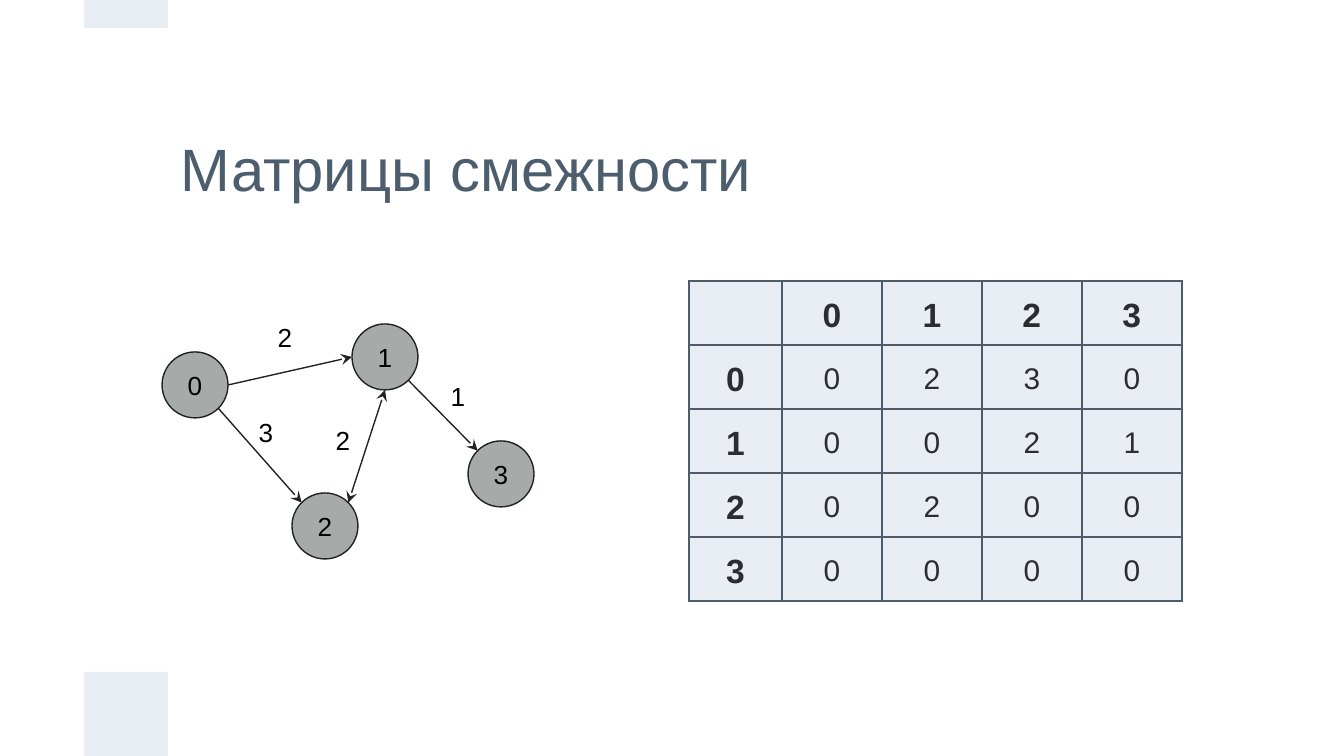
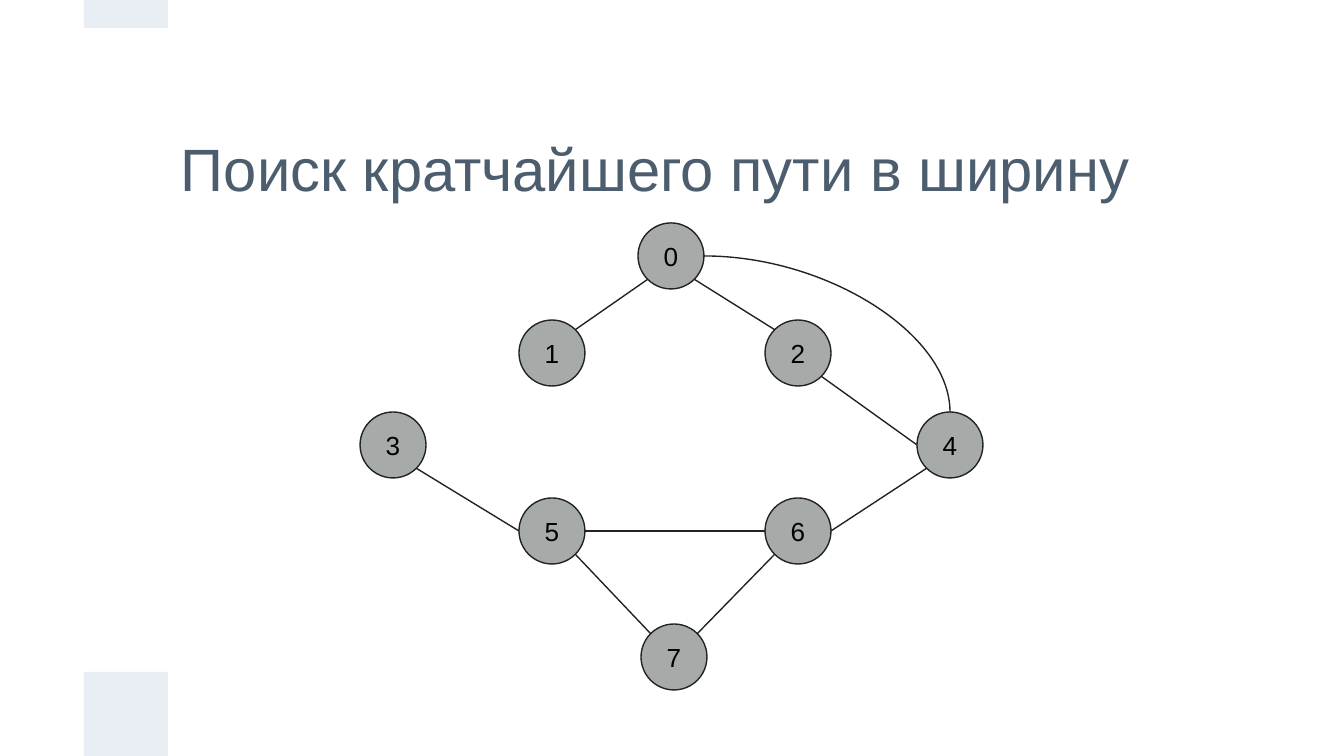
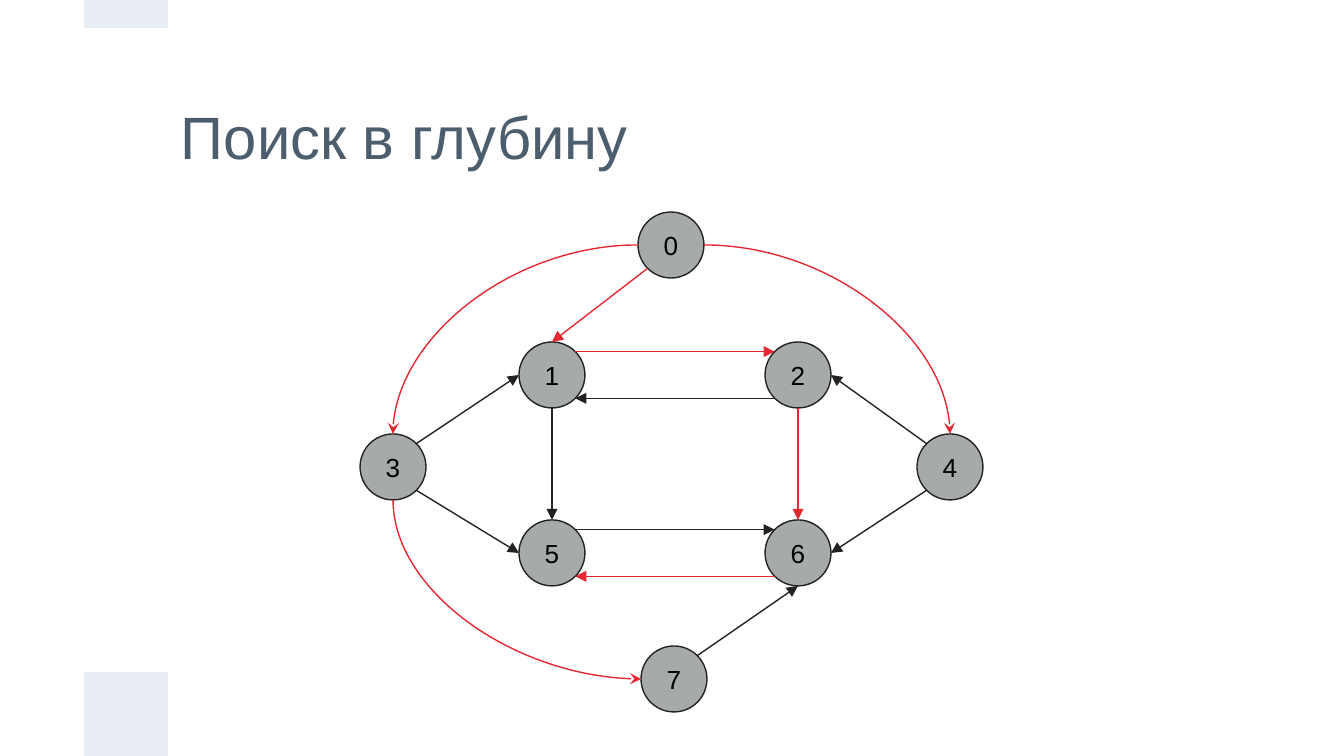
from dataclasses import dataclass
from math import sqrt

from lxml import etree
from pptx import Presentation
from pptx import util as u
from pptx.dml.color import RGBColor
from pptx.enum import shapes, text
from pptx.oxml.ns import qn

SLIDE_W, SLIDE_H = 1344, 756
EMU_PER_PX = u.Inches(10) / SLIDE_W


@dataclass(frozen=True)
class Theme:
    font: str = "Arial"
    title: str = "4C5D6E"
    band: str = "E9EDF4"
    node: str = "A6AAA9"
    edge: str = "222222"
    route: str = "E42832"
    label: str = "000000"
    cell: str = "2C2D30"
    title_size: int = 32
    header_size: int = 18
    cell_size: int = 16
    label_size: int = 14
    line: float = 0.75
    border: float = 1
    inset: int = 13


THEME = Theme()
NODE = 66
LABEL_W, LABEL_H = 70, 67

# Points on a node's rim, as offsets from its centre in radii
DIAG = 1 / sqrt(2)
RIM = {
    "n": (0, -1), "ne": (DIAG, -DIAG), "e": (1, 0), "se": (DIAG, DIAG),
    "s": (0, 1), "sw": (-DIAG, DIAG), "w": (-1, 0), "nw": (-DIAG, -DIAG),
}

# Graph of the weighted example: nodes, edges and weights relative to its box
WEIGHTED_NODES = {"0": (0, 28), "2": (130, 169), "1": (190, 0), "3": (306, 117)}
WEIGHTED_EDGES = [
    ("0", "se", "2", "nw"), ("0", "e", "1", "w"),
    ("1", "se", "3", "nw"), ("1", "s", "2", "ne"),
]
WEIGHTS = [("2", 88, -20), ("3", 69, 75), ("2", 146, 83), ("1", 261, 39)]
ADJACENCY = [[0, 2, 3, 0], [0, 0, 2, 1], [0, 2, 0, 0], [0, 0, 0, 0]]

# Graph shared by both searches
SEARCH_NODES = {
    "0": (278, 0), "2": (405, 97), "1": (159, 97), "4": (557, 189),
    "3": (0, 189), "7": (281, 401), "6": (405, 275), "5": (159, 275),
}
BREADTH_EDGES = [
    ("1", "ne", "0", "sw"), ("0", "se", "2", "nw"), ("2", "se", "4", "w"),
    ("3", "se", "5", "w"), ("5", "se", "7", "nw"), ("7", "ne", "6", "sw"),
    ("5", "e", "6", "w"), ("6", "e", "4", "sw"),
]
DEPTH_ARCS = [("0", "w", "3", "n"), ("0", "e", "4", "n"), ("3", "s", "7", "w")]
DEPTH_EDGES = [
    ("3", "ne", "1", "w"), ("3", "se", "5", "w"), ("1", "s", "5", "n"),
    ("2", "sw", "1", "se"), ("5", "ne", "6", "nw"), ("4", "nw", "2", "e"),
    ("4", "sw", "6", "e"), ("7", "ne", "6", "s"),
]
DEPTH_ROUTE = [
    ("1", "ne", "2", "nw"), ("6", "sw", "5", "se"),
    ("2", "s", "6", "n"), ("0", "sw", "1", "n"),
]


def px(*lengths):
    return [u.Emu(round(length * EMU_PER_PX)) for length in lengths]


def rgb(colour):
    return RGBColor.from_string(colour)


def write(frame, words, size, colour, align=text.PP_ALIGN.CENTER):
    frame.text = words
    frame.word_wrap = True
    frame.vertical_anchor = text.MSO_ANCHOR.MIDDLE
    inset, = px(THEME.inset)
    frame.margin_left = frame.margin_right = inset
    frame.margin_top = frame.margin_bottom = inset
    paragraph = frame.paragraphs[0]
    paragraph.alignment = align
    style(paragraph.runs[0].font, size, colour)


def style(font, size, colour, bold=False):
    font.name = THEME.font
    font.size = u.Pt(size)
    font.color.rgb = rgb(colour)
    font.bold = bold


def add_textbox(slide, box, words, size, colour, align=text.PP_ALIGN.CENTER):
    frame = slide.shapes.add_textbox(*px(*box)).text_frame
    write(frame, words, size, colour, align)


def add_filled(slide, preset, box, fill):
    shape = slide.shapes.add_shape(preset, *px(*box))
    shape.shadow.inherit = False
    shape.fill.solid()
    shape.fill.fore_color.rgb = rgb(fill)
    return shape


# Slide frame: two bands on the left and the title
def start_slide(prs, title, title_height=168):
    slide = prs.slides.add_slide(prs.slide_layouts[6])
    for top, height in ((SLIDE_H - 84, 84), (0, 28)):
        band = add_filled(slide, shapes.MSO_SHAPE.RECTANGLE,
                          (84, top, 84, height), THEME.band)
        band.line.fill.background()
    add_textbox(slide, (168, 84, 1008, title_height), title,
                THEME.title_size, THEME.title, text.PP_ALIGN.LEFT)
    return slide


# Graph parts
def add_nodes(slide, origin, nodes):
    for number, (x, y) in nodes.items():
        node = add_filled(slide, shapes.MSO_SHAPE.OVAL,
                          (origin[0] + x, origin[1] + y, NODE, NODE), THEME.node)
        node.line.color.rgb = rgb(THEME.edge)
        node.line.width = u.Pt(THEME.line)
        write(node.text_frame, number, THEME.label_size, THEME.label)


def rim_point(origin, place, side):
    return [start + offset + NODE / 2 * (1 + step)
            for start, offset, step in zip(origin, place, RIM[side])]


def bend(arc, leaves_vertically):
    """Make a connector a quarter arc."""
    properties = arc.element.spPr
    properties.find(qn("a:prstGeom")).set("prst", "curvedConnector2")
    if leaves_vertically:
        # Turn the arc a quarter, keeping its centre
        width, height = arc.width, arc.height
        shift = (width - height) // 2
        arc.left, arc.top = arc.left + shift, arc.top - shift
        arc.width, arc.height = height, width
        frame = properties.find(qn("a:xfrm"))
        frame.set("rot", str(270 * 60000))
        frame.set("flipH", "1")


def add_edges(slide, origin, nodes, edges, colour=THEME.edge,
              head=None, tail=None, curved=False):
    kind = shapes.MSO_CONNECTOR.CURVE if curved else shapes.MSO_CONNECTOR.STRAIGHT
    for source, source_side, target, target_side in edges:
        begin = rim_point(origin, nodes[source], source_side)
        end = rim_point(origin, nodes[target], target_side)
        edge = slide.shapes.add_connector(kind, *px(*begin, *end))
        edge.line.color.rgb = rgb(colour)
        edge.line.width = u.Pt(THEME.line)
        properties = edge.element.spPr
        outline = properties.find(qn("a:ln"))
        for tag, arrow in (("a:headEnd", head), ("a:tailEnd", tail)):
            if arrow:
                etree.SubElement(outline, qn(tag), type=arrow)
        etree.SubElement(properties, qn("a:effectLst"))
        if curved:
            bend(edge, source_side in "ns")


# Adjacency matrix
def add_borders(cell):
    properties = cell._tc.get_or_add_tcPr()
    for index, tag in enumerate(("a:lnL", "a:lnR", "a:lnT", "a:lnB")):
        border = etree.Element(qn(tag), w=str(u.Pt(THEME.border)))
        fill = etree.SubElement(border, qn("a:solidFill"))
        etree.SubElement(fill, qn("a:srgbClr"), val=THEME.title)
        properties.insert(index, border)


def add_matrix(slide, origin, matrix, head_width=93, column=100, row=64):
    count = len(matrix) + 1
    box = (*origin, head_width + column * (count - 1), row * count)
    table = slide.shapes.add_table(count, count, *px(*box)).table
    table.first_row = table.horz_banding = False
    for index in range(count):
        table.columns[index].width, = px(column if index else head_width)
        table.rows[index].height, = px(row)
    lines = [["", *range(count - 1)]]
    lines += [[number, *values] for number, values in enumerate(matrix)]
    for r, line in enumerate(lines):
        for c, value in enumerate(line):
            cell = table.cell(r, c)
            cell.text_frame.text = str(value)
            cell.fill.solid()
            cell.fill.fore_color.rgb = rgb(THEME.band)
            cell.vertical_anchor = text.MSO_ANCHOR.MIDDLE
            cell.margin_left, cell.margin_right = px(9, 9)
            cell.margin_top = cell.margin_bottom = 0
            paragraph = cell.text_frame.paragraphs[0]
            paragraph.alignment = text.PP_ALIGN.CENTER
            paragraph.line_spacing = 1.15
            is_header = r == 0 or c == 0
            size = THEME.header_size if is_header else THEME.cell_size
            for run in paragraph.runs:
                style(run.font, size, THEME.cell, is_header)
            add_borders(cell)


# Slides
def adjacency_slide(prs):
    slide = start_slide(prs, "Матрицы смежности")
    add_matrix(slide, (689, 281), ADJACENCY)
    origin = (162, 324)
    add_nodes(slide, origin, WEIGHTED_NODES)
    add_edges(slide, origin, WEIGHTED_NODES, WEIGHTED_EDGES[:-1], tail="stealth")
    add_edges(slide, origin, WEIGHTED_NODES, WEIGHTED_EDGES[-1:],
              head="stealth", tail="stealth")
    for weight, x, y in WEIGHTS:
        add_textbox(slide, (origin[0] + x, origin[1] + y, LABEL_W, LABEL_H),
                    weight, THEME.label_size, THEME.label)


def breadth_slide(prs):
    slide = start_slide(prs, "Поиск кратчайшего пути в ширину")
    origin = (360, 223)
    add_nodes(slide, origin, SEARCH_NODES)
    add_edges(slide, origin, SEARCH_NODES, BREADTH_EDGES)
    add_edges(slide, origin, SEARCH_NODES, [("0", "e", "4", "n")], curved=True)


def depth_slide(prs):
    slide = start_slide(prs, "Поиск в глубину", title_height=104)
    origin = (360, 245)
    nodes = {**SEARCH_NODES, "0": (278, -33)}
    add_nodes(slide, origin, nodes)
    add_edges(slide, origin, nodes, DEPTH_ARCS, THEME.route,
              tail="stealth", curved=True)
    add_edges(slide, origin, nodes, DEPTH_EDGES, tail="triangle")
    add_edges(slide, origin, nodes, DEPTH_ROUTE, THEME.route, tail="triangle")


def main():
    prs = Presentation()
    prs.slide_width, prs.slide_height = px(SLIDE_W, SLIDE_H)
    adjacency_slide(prs)
    breadth_slide(prs)
    depth_slide(prs)
    prs.save("out.pptx")


if __name__ == "__main__":
    main()
